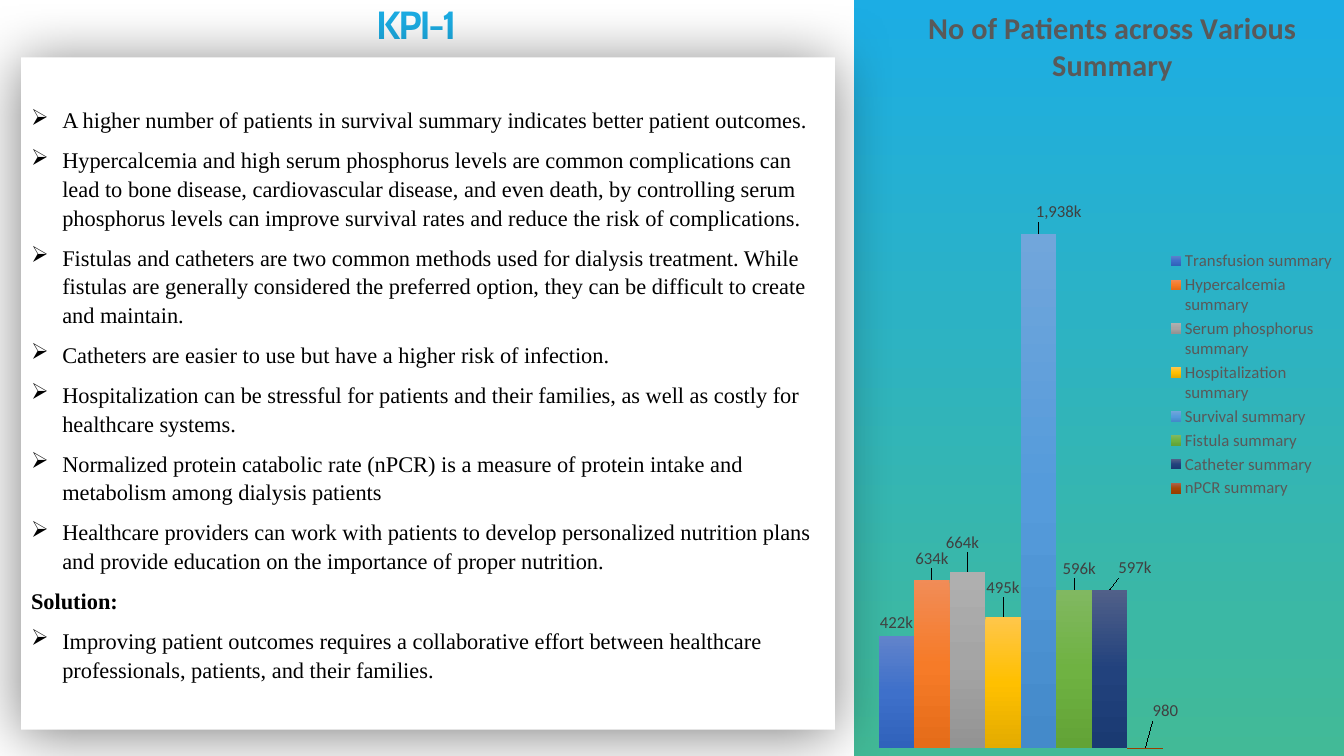
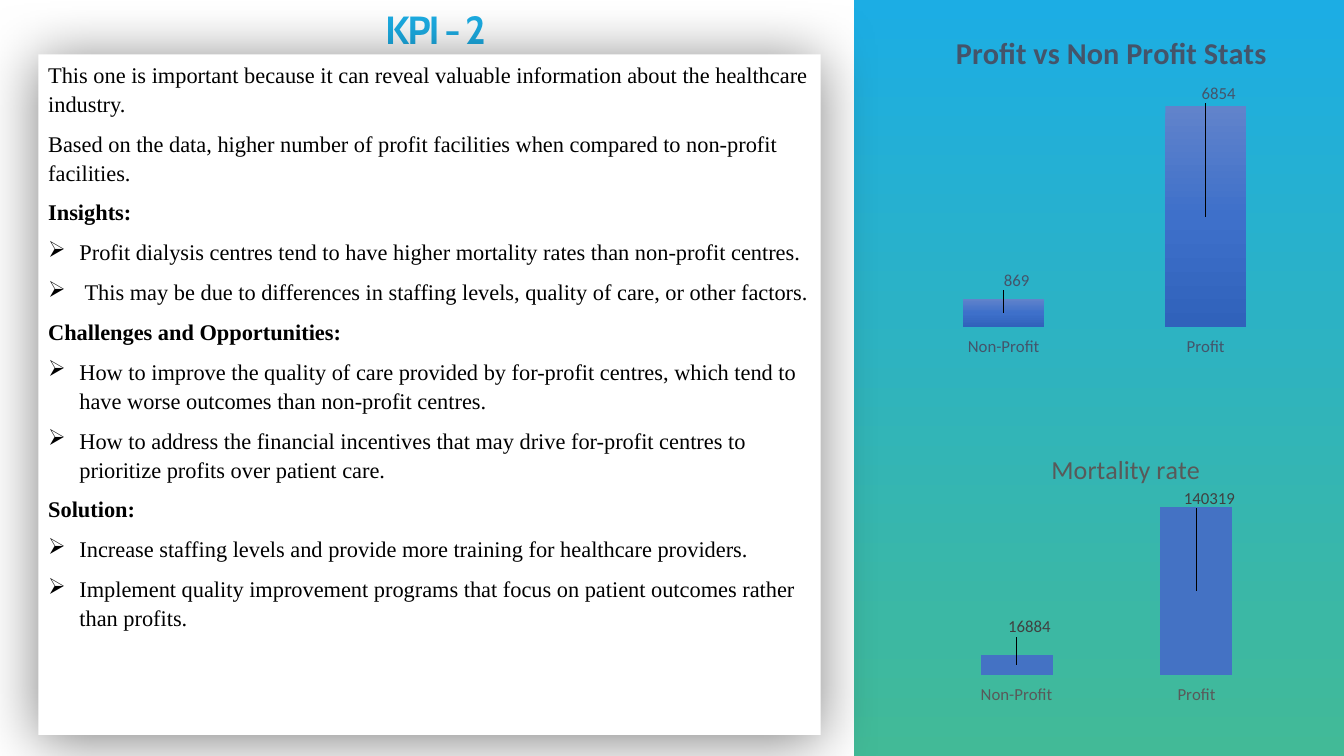
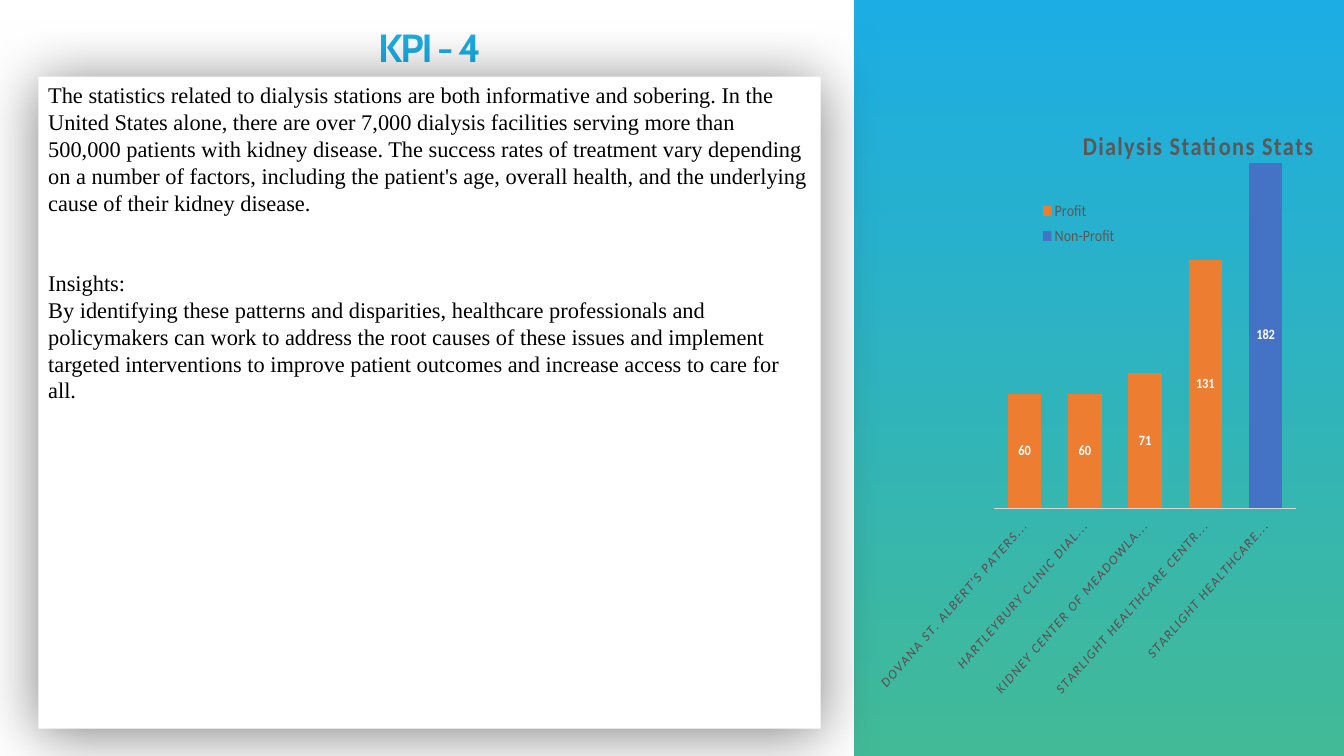
from pptx import Presentation
from pptx.chart.data import CategoryChartData as Data
from pptx.dml.color import RGBColor as RGB
from pptx.enum.chart import XL_CHART_TYPE as Kind, XL_LABEL_POSITION as Spot
from pptx.enum.chart import XL_LEGEND_POSITION as Side, XL_TICK_LABEL_POSITION as Tick
from pptx.enum.chart import XL_TICK_MARK as Mark
from pptx.enum.shapes import MSO_SHAPE as Form
from pptx.enum.text import MSO_ANCHOR as Anchor, PP_ALIGN as Align
from pptx.oxml import parse_xml
from pptx.oxml.ns import nsdecls, qn
from pptx.util import Inches, Pt

HUE = {
    "sky": "1CADE4", "sea": "42BA97", "white": "FFFFFF", "black": "000000",
    "gray": "595959", "dark": "404040", "slate": "44546A", "pale": "D9D9D9",
    "blue": "4472C4", "orange": "ED7D31",
}
SHEEN = {
    "blue": ("6183CB", "3E70CA", "3062BB"),
    "orange": ("F18C57", "F67B28", "E56C19"),
    "gray": ("AFAFAF", "A5A5A5", "939393"),
    "gold": ("FFC64B", "FFC000", "E3AB00"),
    "light": ("71A6DB", "559BDB", "448ACA"),
    "green": ("81B861", "6FB242", "62A336"),
    "navy": ("516089", "22427D", "1A3A72"),
    "rust": ("AB634B", "A54707", "983E00"),
}
SERIF, SANS, HEAD = "Times New Roman", "Calibri", "Cabin"
PANEL = (8.47, 0, 4.88, 7.5)
THOUSAND = '#,##0,"k"'


def inch(box):
    return [Inches(n) for n in box]


def style(font, size, hue, face=SANS, bold=False):
    font.size, font.name, font.bold = Pt(size), face, bold
    font.color.rgb = RGB.from_string(HUE[hue])


def blend(fill, root, hexes):
    """Fill from top to bottom with evenly spaced colours."""
    fill.gradient()
    fill.gradient_angle = 270
    stops = root.find(".//" + qn("a:gsLst"))
    for stop in list(stops):
        stops.remove(stop)
    for i, code in enumerate(hexes):
        pos = 100000 * i // (len(hexes) - 1)
        stops.append(parse_xml(f'<a:gs {nsdecls("a")} pos="{pos}">'
                               f'<a:srgbClr val="{code}"/></a:gs>'))


def block(slide, box):
    shape = slide.shapes.add_shape(Form.RECTANGLE, *inch(box))
    shape.shadow.inherit = False
    shape.line.fill.background()
    return shape


def panel(slide, box):
    shape = block(slide, box)
    blend(shape.fill, shape._element, (HUE["sky"], HUE["sea"]))


def head(slide, box, text):
    frame = slide.shapes.add_textbox(*inch(box)).text_frame
    frame.word_wrap = True
    para = frame.paragraphs[0]
    para.alignment = Align.CENTER
    run = para.add_run()
    run.text = text
    style(run.font, 28, "sky", HEAD, True)
    run._r.get_or_add_rPr().set("spc", "-150")


def bullet(para):
    props = para._p.get_or_add_pPr()
    props.set("marL", str(Inches(0.31)))
    props.set("indent", str(-Inches(0.31)))
    props.append(parse_xml(f'<a:buChar {nsdecls("a")} char="➢"/>'))


def board(slide, box, items, anchor=Anchor.TOP, lead=1.07, after=8):
    """White card; each item is (kind, text): item, head, text or part."""
    card = block(slide, box)
    card.fill.solid()
    card.fill.fore_color.rgb = RGB.from_string(HUE["white"])
    card._element.spPr.find(qn("a:effectLst")).append(parse_xml(
        f'<a:outerShdw {nsdecls("a")} blurRad="{Pt(43)}" dist="{Pt(4)}" dir="5400000">'
        f'<a:srgbClr val="{HUE["black"]}"><a:alpha val="49000"/></a:srgbClr>'
        '</a:outerShdw>'))
    frame = card.text_frame
    frame.word_wrap, frame.vertical_anchor = True, anchor
    for i, (kind, text) in enumerate(items):
        para = frame.add_paragraph() if i else frame.paragraphs[0]
        if kind == "item":
            bullet(para)
        para.alignment = Align.LEFT
        para.line_spacing, para.space_after = lead, Pt(after)
        if kind == "part":
            para.space_before = Pt(38)
        run = para.add_run()
        run.text = text
        style(run.font, 16, "black", SERIF, kind == "head")


def place(host, prev, spot, inner=False, edge=True):
    """Set a manual layout in host, after the child named prev or first."""
    old = host.find(qn("c:layout"))
    if old is not None:
        host.remove(old)
    parts = ['<c:layoutTarget val="inner"/>'] if inner else []
    if edge:
        parts += ['<c:xMode val="edge"/>', '<c:yMode val="edge"/>']
    parts += [f'<c:{key} val="{n}"/>' for key, n in zip("xywh", spot)]
    node = parse_xml(f'<c:layout {nsdecls("c")}><c:manualLayout>'
                     f'{"".join(parts)}</c:manualLayout></c:layout>')
    if prev:
        host.find(qn(prev)).addnext(node)
    else:
        host.insert(0, node)


def label(ser, size, hue, form, spot, shifts, bold):
    tags = ser.data_labels
    tags.show_value = True
    tags.number_format, tags.number_format_is_linked = form, False
    tags.position = spot
    style(tags.font, size, hue, bold=bold)
    for i, shift in enumerate(shifts):
        tag = ser.points[i].data_label
        style(tag.font, size, hue, bold=bold)
        tag.position = spot
        node = ser._element.findall(".//" + qn("c:dLbl"))[i]
        place(node, "c:idx", shift, edge=False)
        node.find(qn("c:layout")).addnext(parse_xml(
            f'<c:numFmt {nsdecls("c")} formatCode="{form.replace(chr(34), "&quot;")}"'
            ' sourceLinked="0"/>'))


def paint(ser, hue):
    fill = ser.format.fill
    if isinstance(hue, tuple):
        blend(fill, ser._element, hue)
    else:
        fill.solid()
        fill.fore_color.rgb = RGB.from_string(HUE[hue])


def caption(chart, text, spot, size, hue, bold, gap):
    chart.has_title = True
    title = chart.chart_title
    run = title.text_frame.paragraphs[0].add_run()
    run.text = text
    style(run.font, size, hue, bold=bold)
    run._r.get_or_add_rPr().set("spc", str(gap))
    title.include_in_layout = False
    place(title._element, "c:tx", spot)


def bars(slide, box, cats, rows, area, top, kind=Kind.COLUMN_STACKED, gap=150):
    """Column chart; each row is (name, values, fill)."""
    data = Data()
    data.categories = cats
    for name, vals, _ in rows:
        data.add_series(name, vals)
    chart = slide.shapes.add_chart(kind, *inch(box), data).chart
    style(chart.font, 10, "black")
    chart.has_legend = False
    plot = chart.plots[0]
    plot.gap_width, plot.vary_by_categories = gap, False
    plot.overlap = 100 if kind == Kind.COLUMN_STACKED else 0
    for ser, (_, _, hue) in zip(plot.series, rows):
        paint(ser, hue)
    axis = chart.value_axis
    axis.visible = axis.has_major_gridlines = False
    axis.minimum_scale, axis.maximum_scale = 0, top
    place(chart._chartSpace.find(".//" + qn("c:plotArea")), None, area, inner=True)
    return chart


def base(chart, size, hue, line=None):
    axis = chart.category_axis
    axis.major_tick_mark = axis.minor_tick_mark = Mark.NONE
    axis.tick_label_position = Tick.LOW
    style(axis.tick_labels.font, size, hue)
    if line:
        axis.format.line.color.rgb = RGB.from_string(HUE[line])
        axis.format.line.width = Pt(0.75)
    else:
        axis.format.line.fill.background()
    return axis


def legend(chart, spot=None):
    chart.has_legend = True
    key = chart.legend
    key.position, key.include_in_layout = Side.RIGHT, False
    style(key.font, 12, "gray")
    if spot:
        place(key._element, "c:legendPos", spot)


def patients(slide, box):
    rows = [
        ("Transfusion", 422000, "blue", (0, 0)),
        ("Hypercalcemia", 634000, "orange", (0, -0.01)),
        ("Serum phosphorus", 664000, "gray", (-0.01, -0.02)),
        ("Hospitalization", 495000, "gold", (0, -0.02)),
        ("Survival", 1938000, "light", (0.04, -0.01)),
        ("Fistula", 596000, "green", (0.01, -0.01)),
        ("Catheter", 597000, "navy", (0.05, -0.01)),
        ("nPCR", 980, "rust", (0.04, -0.03)),
    ]
    left, top, _, _ = box
    chart = bars(slide, (left - 0.12, top - 0.07, 5, 7.57), ["1"],
                 [(name + " summary", [n], SHEEN[hue]) for name, n, hue, _ in rows],
                 (0.02, 0.12, 0.67, 0.87), 2500000, Kind.COLUMN_CLUSTERED)
    chart.category_axis.visible = False
    for ser, (_, n, _, shift) in zip(chart.plots[0].series, rows):
        label(ser, 12, "dark", THOUSAND if n > 1000 else "General",
              Spot.OUTSIDE_END, [shift], False)
    legend(chart)
    caption(chart, "No of Patients across Various Summary", (0.16, 0.01),
            21.6, "gray", True, 0)


def profit(slide, box):
    left, top, _, _ = box
    cats = ["Non-Profit", "Profit"]
    specs = [
        ((0.31, 0.04, 4.31, 3.6), (869, 6854), SHEEN["blue"], 8000,
         (0.04, 0.18, 0.93, 0.71), "slate", "slate", [(0.03, -0.09), (0.03, -0.34)],
         ("Profit vs Non Profit Stats", (0.15, 0.06), 21.6, "slate", True, 0)),
        ((0.38, 4.14, 4.25, 2.87), (16884, 140319), "blue", 160000,
         (0.08, 0.23, 0.84, 0.66), "gray", "dark", [(0.03, -0.13), (0.03, -0.32)],
         ("Mortality rate", (0.36, 0.1), 18.6, "gray", False, 0)),
    ]
    for (x, y, w, h), vals, fill, peak, area, ink, tag, shifts, title in specs:
        chart = bars(slide, (left + x, top + y, w, h), cats,
                     [("Series 1", vals, fill)], area, peak)
        base(chart, 12, ink)
        label(chart.plots[0].series[0], 12, tag, "0", Spot.CENTER, shifts, False)
        caption(chart, *title)


def stations(slide, box):
    left, top, _, _ = box
    cats = ["DOVANA ST. ALBERT'S PATERSON DIALYSIS", "HARTLEYBURY CLINIC DIALYSIS",
            "KIDNEY CENTER OF MEADOWLAND RIDGE, LLC",
            "STARLIGHT HEALTHCARE CENTRAL STATES LLC", "STARLIGHT HEALTHCARE INC"]
    rows = [("Non-Profit", [None] * 4 + [182], "blue"),
            ("Profit", [60, 60, 71, 131, None], "orange")]
    chart = bars(slide, (left + 0.24, top + 1.11, 4.78, 5.81), cats, rows,
                 (0.09, 0.03, 0.75, 0.68), 200, gap=79)
    axis = base(chart, 10.6, "gray", "pale")
    text = axis._element.find(qn("c:txPr"))
    text.find(qn("a:bodyPr")).set("rot", "-2700000")
    text.find(".//" + qn("a:defRPr")).set("spc", "120")
    for ser in chart.plots[0].series:
        label(ser, 10.6, "white", "General", Spot.CENTER, [], True)
    legend(chart, (0.21, 0.15, 0.18, 0.1))
    caption(chart, "Dialysis Stations Stats", (0.3, 0.02), 19.2, "gray", True, 100)


OUTCOMES = [
    ("item", "A higher number of patients in survival summary indicates better patient outcomes."),
    ("item", "Hypercalcemia and high serum phosphorus levels are common complications can lead to "
     "bone disease, cardiovascular disease, and even death, by controlling serum phosphorus "
     "levels can improve survival rates and reduce the risk of complications."),
    ("item", "Fistulas and catheters are two common methods used for dialysis treatment. While "
     "fistulas are generally considered the preferred option, they can be difficult to create "
     "and maintain."),
    ("item", "Catheters are easier to use but have a higher risk of infection."),
    ("item", "Hospitalization can be stressful for patients and their families, as well as "
     "costly for healthcare systems."),
    ("item", "Normalized protein catabolic rate (nPCR) is a measure of protein intake and "
     "metabolism among dialysis patients"),
    ("item", "Healthcare providers can work with patients to develop personalized nutrition "
     "plans and provide education on the importance of proper nutrition."),
    ("head", "Solution:"),
    ("item", "Improving patient outcomes requires a collaborative effort between healthcare "
     "professionals, patients, and their families."),
]
CENTRES = [
    ("text", "This one is important because it can reveal valuable information about the "
     "healthcare industry."),
    ("text", "Based on the data, higher number of profit facilities when compared to "
     "non-profit facilities."),
    ("head", "Insights:"),
    ("item", "Profit dialysis centres tend to have higher mortality rates than non-profit "
     "centres."),
    ("item", " This may be due to differences in staffing levels, quality of care, or other "
     "factors."),
    ("head", "Challenges and Opportunities:"),
    ("item", "How to improve the quality of care provided by for-profit centres, which tend to "
     "have worse outcomes than non-profit centres."),
    ("item", "How to address the financial incentives that may drive for-profit centres to "
     "prioritize profits over patient care."),
    ("head", "Solution:"),
    ("item", "Increase staffing levels and provide more training for healthcare providers."),
    ("item", "Implement quality improvement programs that focus on patient outcomes rather "
     "than profits."),
]
ACCESS = [
    ("text", "The statistics related to dialysis stations are both informative and sobering. In "
     "the United States alone, there are over 7,000 dialysis facilities serving more than "
     "500,000 patients with kidney disease. The success rates of treatment vary depending on a "
     "number of factors, including the patient's age, overall health, and the underlying cause "
     "of their kidney disease."),
    ("part", "Insights:"),
    ("text", "By identifying these patterns and disparities, healthcare professionals and "
     "policymakers can work to address the root causes of these issues and implement targeted "
     "interventions to improve patient outcomes and increase access to care for all."),
]


def main():
    deck = Presentation()
    deck.slide_width, deck.slide_height = Inches(13.33), Inches(7.5)
    pages = [
        ("KPI-1", (0, -0.05, 8.26, 1.04), (0.21, 0.57, 8.07, 6.67), OUTCOMES,
         {"anchor": Anchor.MIDDLE}, patients),
        ("KPI - 2", (0.44, 0, 7.76, 0.57), (0.38, 0.54, 7.76, 6.75), CENTRES, {}, profit),
        ("KPI - 4", (0.38, 0.18, 7.76, 0.57), (0.38, 0.76, 7.76, 6.47), ACCESS,
         {"lead": 1.0, "after": 0}, stations),
    ]
    for name, band, card, items, look, graph in pages:
        slide = deck.slides.add_slide(deck.slide_layouts[6])
        panel(slide, PANEL)
        head(slide, band, name)
        board(slide, card, items, **look)
        graph(slide, PANEL)
    deck.save("out.pptx")


if __name__ == "__main__":
    main()
